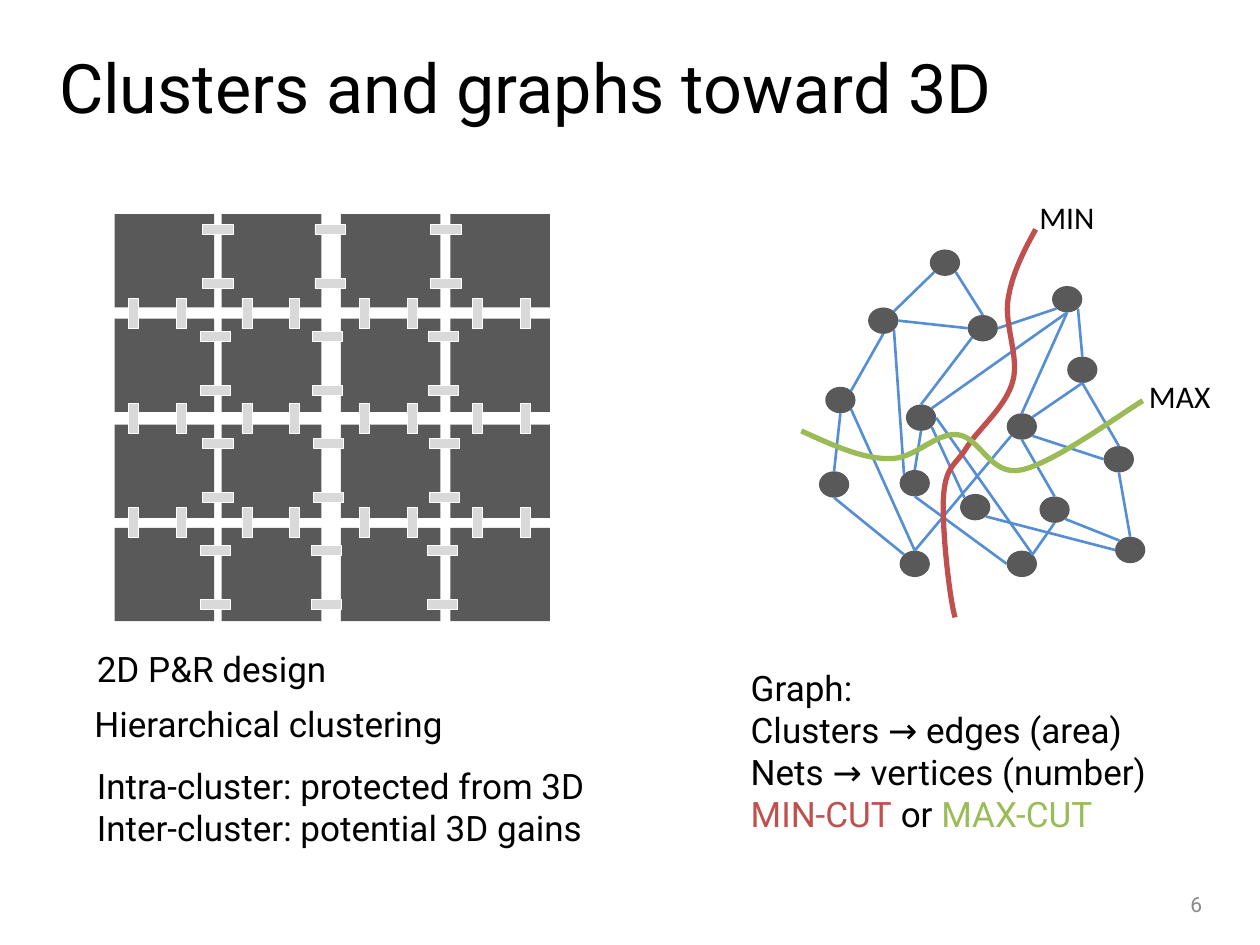
from typing import NamedTuple

from lxml.etree import SubElement
from pptx import Presentation
from pptx.dml.color import RGBColor
from pptx.enum.shapes import MSO_CONNECTOR, MSO_SHAPE
from pptx.enum.text import MSO_ANCHOR, PP_ALIGN
from pptx.oxml.ns import qn
from pptx.util import Inches, Pt

BLACK = RGBColor(0x00, 0x00, 0x00)
WHITE = RGBColor(0xFF, 0xFF, 0xFF)
DARK = RGBColor(0x59, 0x59, 0x59)
LIGHT = RGBColor(0xD9, 0xD9, 0xD9)
GRAY = RGBColor(0x89, 0x89, 0x89)
BLUE = RGBColor(0x55, 0x8E, 0xD5)
RED = RGBColor(0xC0, 0x50, 0x4D)
GREEN = RGBColor(0x9B, 0xBB, 0x59)

Point = tuple[float, float]


class Box(NamedTuple):
    left: float
    top: float
    wide: float
    high: float


class Label(NamedTuple):
    box: Box
    lines: list[list[tuple[str, RGBColor]]]
    size: float = 20
    font: str = "Roboto"
    align: PP_ALIGN = PP_ALIGN.LEFT
    anchor: MSO_ANCHOR = MSO_ANCHOR.TOP


class Edge(NamedTuple):
    start: str
    side: str
    end: str
    port: str


class Cut(NamedTuple):
    points: list[Point]  # start, then two controls and an end per curve
    color: RGBColor


# Cluster grid
TILE_X = (0.91, 1.76, 2.705, 3.575)
TILE_Y = (1.7, 2.53, 3.37, 4.19)
TILE_W, TILE_H = 0.79, 0.74
PIN_W, PIN_H = 0.24, 0.08
PIN_ROWS = ((1.61, 2.5, 3.42), (1.59, 2.48, 3.4),
            (1.61, 2.49, 3.41), (1.59, 2.47, 3.39))
PIN_Y, ROW_STEP, PIN_GAP = 1.78, 0.85, 0.43
POST_X = (0.94, 1.84, 2.77, 3.67)
POST_Y = (2.45, 3.28, 4.11)
POST_GAP = 0.38

# Graph
NODE_W, NODE_H = 0.24, 0.21
NODES = {
    "a": (6.89, 2.44), "b": (7.68, 2.5), "c": (7.19, 3.21), "d": (7.99, 3.28),
    "e": (6.5, 3.74), "f": (7.62, 3.92), "g": (6.55, 3.07), "h": (8.47, 2.83),
    "i": (8.25, 3.94), "j": (7.14, 4.37), "k": (7.14, 3.73), "l": (8.35, 2.27),
    "m": (7.99, 4.37), "n": (7.38, 1.98), "o": (8.76, 3.54), "p": (8.85, 4.26),
}
DIAG = 0.71
SIDES = {
    "n": (0, -1), "s": (0, 1), "w": (-1, 0), "e": (1, 0),
    "nw": (-DIAG, -DIAG), "ne": (DIAG, -DIAG),
    "sw": (-DIAG, DIAG), "se": (DIAG, DIAG),
}
EDGES = [Edge(*row.split()) for row in (
    "n se b n", "b e l sw", "n sw a ne", "l se h n", "l s d n", "l s c ne",
    "a e b w", "a s g ne", "a se k nw", "b sw c n", "g s e n", "c se f nw",
    "k n c s", "h s d ne", "h s o n", "o w d se", "d s i n", "m ne c e",
    "j n d sw", "o s p n", "i se p nw", "m ne i s", "j nw e s", "j n g se",
    "m w k s", "p w f se",
)]
CUTS = [
    Cut([(8.22, 1.82), (8.12, 2), (8.03, 2.18), (8, 2.38),
         (7.97, 2.58), (8.09, 2.83), (8.04, 3.02),
         (7.99, 3.22), (7.78, 3.39), (7.68, 3.54),
         (7.59, 3.69), (7.51, 3.69), (7.49, 3.92),
         (7.47, 4.14), (7.53, 4.72), (7.58, 4.9)], RED),
    Cut([(6.36, 3.42), (6.6, 3.53), (6.84, 3.64), (7.05, 3.64),
         (7.26, 3.65), (7.42, 3.43), (7.6, 3.45),
         (7.78, 3.47), (7.86, 3.78), (8.1, 3.73),
         (8.34, 3.69), (8.89, 3.29), (9.07, 3.18)], GREEN),
]

HEADS = [
    Label(Box(0.37, 0.3, 8.51, 0.77), [[("Clusters and graphs toward 3D", BLACK)]],
          size=39, anchor=MSO_ANCHOR.MIDDLE),
    Label(Box(7.31, 7.04, 2.33, 0.27), [[("6", GRAY)]], size=12,
          align=PP_ALIGN.RIGHT, anchor=MSO_ANCHOR.MIDDLE),
]
NOTES = [
    Label(Box(0.67, 5.09, 3.46, 0.44), [[("2D P&R design", BLACK)]]),
    Label(Box(0.65, 5.53, 3.62, 0.44), [[("Hierarchical clustering", BLACK)]]),
    Label(Box(0.67, 6.02, 4.17, 0.77), [
        [("Intra-cluster: protected from 3D", BLACK)],
        [("Inter-cluster: potential 3D gains", BLACK)]]),
    Label(Box(5.86, 5.24, 3.77, 1.45), [
        [("Graph:", BLACK)],
        [("Clusters → edges (area)", BLACK)],
        [("Nets → vertices (number)", BLACK)],
        [("MIN-CUT", RED), (" or ", BLACK), ("MAX-CUT", GREEN)]]),
]
TAGS = [
    Label(Box(8.15, 1.52, 0.77, 0.4), [[("MIN", BLACK)]], size=18, font="Calibri"),
    Label(Box(9.02, 2.94, 0.77, 0.4), [[("MAX", BLACK)]], size=18, font="Calibri"),
]


def add_block(slide, kind: MSO_SHAPE, box: Box, fill: RGBColor):
    shape = slide.shapes.add_shape(kind, *map(Inches, box))
    shape.shadow.inherit = False
    shape.fill.solid()
    shape.fill.fore_color.rgb = fill
    shape.line.fill.background()
    return shape


def add_pin(slide, left: float, top: float, turn: float = 0) -> None:
    pin = add_block(slide, MSO_SHAPE.RECTANGLE, Box(left, top, PIN_W, PIN_H), LIGHT)
    pin.rotation = turn
    pin.line.color.rgb = WHITE
    pin.line.width = Pt(0.5)


def find_port(node: str, side: str) -> Point:
    (left, top), (dx, dy) = NODES[node], SIDES[side]
    return left + NODE_W / 2 * (1 + dx), top + NODE_H / 2 * (1 + dy)


def add_edge(slide, edge: Edge) -> None:
    ends = find_port(edge.start, edge.side) + find_port(edge.end, edge.port)
    line = slide.shapes.add_connector(MSO_CONNECTOR.STRAIGHT, *map(Inches, ends))
    line.line.color.rgb = BLUE
    line.line.width = Pt(1.5)
    SubElement(line._element.spPr, qn("a:effectLst"))


def add_cut(slide, cut: Cut) -> None:
    points = [(Inches(x), Inches(y)) for x, y in cut.points]
    pen = slide.shapes.build_freeform(*points[0])
    pen.add_line_segments(points[3::3], close=False)
    shape = pen.convert_to_shape()
    shape.shadow.inherit = False
    shape.fill.background()
    shape.line.color.rgb = cut.color
    shape.line.width = Pt(3)
    # Turn each straight step into a cubic curve
    for n, step in enumerate(list(shape._element.iter(qn("a:lnTo")))):
        step.tag = qn("a:cubicBezTo")
        end = step[0]
        for x, y in points[3 * n + 1:3 * n + 3]:
            knob = SubElement(step, qn("a:pt"))
            knob.set("x", str(x - shape.left))
            knob.set("y", str(y - shape.top))
        step.append(end)


def add_label(slide, label: Label) -> None:
    frame = slide.shapes.add_textbox(*map(Inches, label.box)).text_frame
    frame.word_wrap = True
    frame.vertical_anchor = label.anchor
    for i, line in enumerate(label.lines):
        para = frame.add_paragraph() if i else frame.paragraphs[0]
        para.alignment = label.align
        para.font.size = Pt(label.size)
        para.font.name = label.font
        for text, color in line:
            run = para.add_run()
            run.text = text
            run.font.color.rgb = color


def main() -> None:
    deck = Presentation()
    deck.slide_width, deck.slide_height = Inches(10), Inches(7.5)
    slide = deck.slides.add_slide(deck.slide_layouts[6])

    # Title and page number
    for label in HEADS:
        add_label(slide, label)

    # Graph nodes and captions
    for spot in NODES.values():
        add_block(slide, MSO_SHAPE.OVAL, Box(*spot, NODE_W, NODE_H), DARK)
    for label in NOTES:
        add_label(slide, label)

    # Clusters
    for top in TILE_Y:
        for left in TILE_X:
            add_block(slide, MSO_SHAPE.RECTANGLE, Box(left, top, TILE_W, TILE_H), DARK)

    # Links across the columns, then across the rows
    for row, lefts in enumerate(PIN_ROWS):
        for left in lefts:
            for n in range(2):
                add_pin(slide, left, PIN_Y + row * ROW_STEP + n * PIN_GAP)
    for top in POST_Y:
        for left in POST_X:
            for n in range(2):
                add_pin(slide, left + n * POST_GAP, top, 90)

    # Graph edges, cuts and their tags
    for edge in EDGES:
        add_edge(slide, edge)
    for cut in CUTS:
        add_cut(slide, cut)
    for label in TAGS:
        add_label(slide, label)

    deck.save("out.pptx")


if __name__ == "__main__":
    main()
